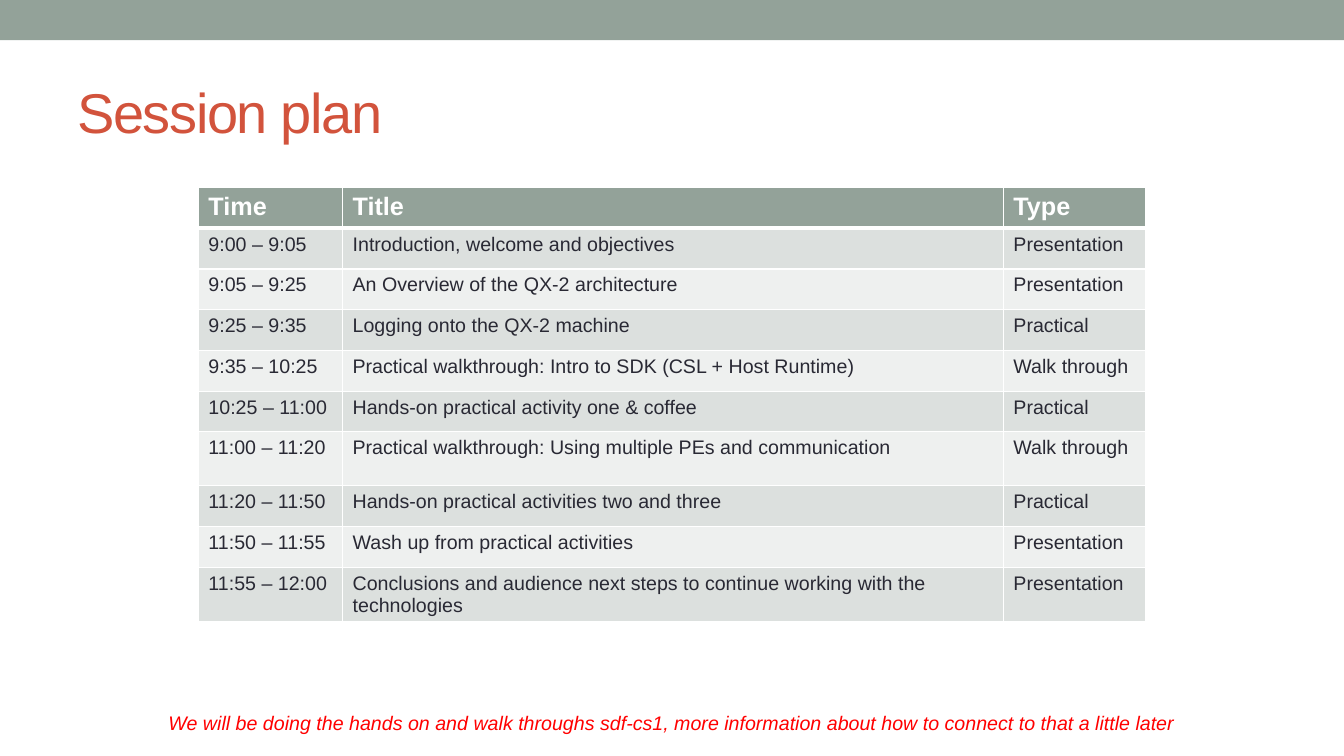
from lxml import etree
from pptx import Presentation
from pptx.dml.color import RGBColor
from pptx.enum import shapes, text
from pptx.oxml.ns import qn
from pptx.util import Pt

SAGE, RUST, INK, WHITE, RED = "93A299", "D2533C", "292934", "FFFFFF", "FF0000"
BANDS = ["DCE0DE", "EEF0EF"]


def write(frame, words, size, color, bold=False, italic=False,
          align=text.PP_ALIGN.LEFT, anchor=text.MSO_ANCHOR.TOP, spacing=0):
    """Fill a text frame with one formatted paragraph; spacing is in points."""
    frame.word_wrap = True
    frame.vertical_anchor = anchor
    paragraph = frame.paragraphs[0]
    paragraph.alignment = align
    run = paragraph.add_run()
    run.text = words
    font = run.font
    font.name, font.size, font.bold, font.italic = "Arial", Pt(size), bold, italic
    font.color.rgb = RGBColor.from_string(color)
    if spacing:
        run._r.get_or_add_rPr().set("spc", str(spacing * 100))


def add_border(cell, side, width):
    line = etree.SubElement(cell._tc.get_or_add_tcPr(), qn(f"a:ln{side}"), w=str(Pt(width)))
    fill = etree.SubElement(line, qn("a:solidFill"))
    etree.SubElement(fill, qn("a:srgbClr"), val=WHITE)


prs = Presentation()
prs.slide_width, prs.slide_height = Pt(960), Pt(540)
slide = prs.slides.add_slide(prs.slide_layouts[5])

# Top band
band = slide.shapes.add_shape(shapes.MSO_SHAPE.RECTANGLE, 0, 0, Pt(960), Pt(28.8))
band.shadow.inherit = False
band.fill.solid()
band.fill.fore_color.rgb = RGBColor.from_string(SAGE)
band.line.fill.background()

# Title
title = slide.shapes.title
title.left, title.top, title.width, title.height = Pt(48), Pt(42), Pt(864), Pt(75)
write(title.text_frame, "Session plan", 40, RUST, anchor=text.MSO_ANCHOR.MIDDLE, spacing=-1)

# Timetable
sessions = [
    ("Time", "Title", "Type"),
    ("9:00 – 9:05", "Introduction, welcome and objectives", "Presentation"),
    ("9:05 – 9:25", "An Overview of the QX-2 architecture", "Presentation"),
    ("9:25 – 9:35", "Logging onto the QX-2 machine", "Practical"),
    ("9:35 – 10:25", "Practical walkthrough: Intro to SDK (CSL + Host Runtime)", "Walk through"),
    ("10:25 – 11:00", "Hands-on practical activity one & coffee", "Practical"),
    ("11:00 – 11:20", "Practical walkthrough: Using multiple PEs and communication", "Walk through"),
    ("11:20 – 11:50", "Hands-on practical activities two and three", "Practical"),
    ("11:50 – 11:55", "Wash up from practical activities", "Presentation"),
    ("11:55 – 12:00", "Conclusions and audience next steps to continue working with the technologies",
     "Presentation"),
]
column_widths = [103, 472, 101.5]
row_height, tall_row_height = 29.1, 38.6
tall_rows = {6, 9}

timetable = slide.shapes.add_table(len(sessions), len(column_widths), Pt(141.7), Pt(134),
                                   Pt(sum(column_widths)), Pt(310)).table
for column, width in zip(timetable.columns, column_widths):
    column.width = Pt(width)

for r, session in enumerate(sessions):
    header = r == 0
    timetable.rows[r].height = Pt(tall_row_height if r in tall_rows else row_height)
    for c, words in enumerate(session):
        cell = timetable.cell(r, c)
        for side in "LRTB":
            under_header = (r, side) in [(0, "B"), (1, "T")]
            add_border(cell, side, 3 if under_header else 1)
        cell.fill.solid()
        cell.fill.fore_color.rgb = RGBColor.from_string(SAGE if header else BANDS[(r - 1) % 2])
        write(cell.text_frame, words, 18 if header else 14, WHITE if header else INK, bold=header)

# Closing note
note = slide.shapes.add_textbox(Pt(52), Pt(504), Pt(856), Pt(24.5))
write(note.text_frame,
      "We will be doing the hands on and walk throughs sdf-cs1, "
      "more information about how to connect to that a little later",
      14, RED, italic=True, align=text.PP_ALIGN.CENTER)

prs.save("out.pptx")
